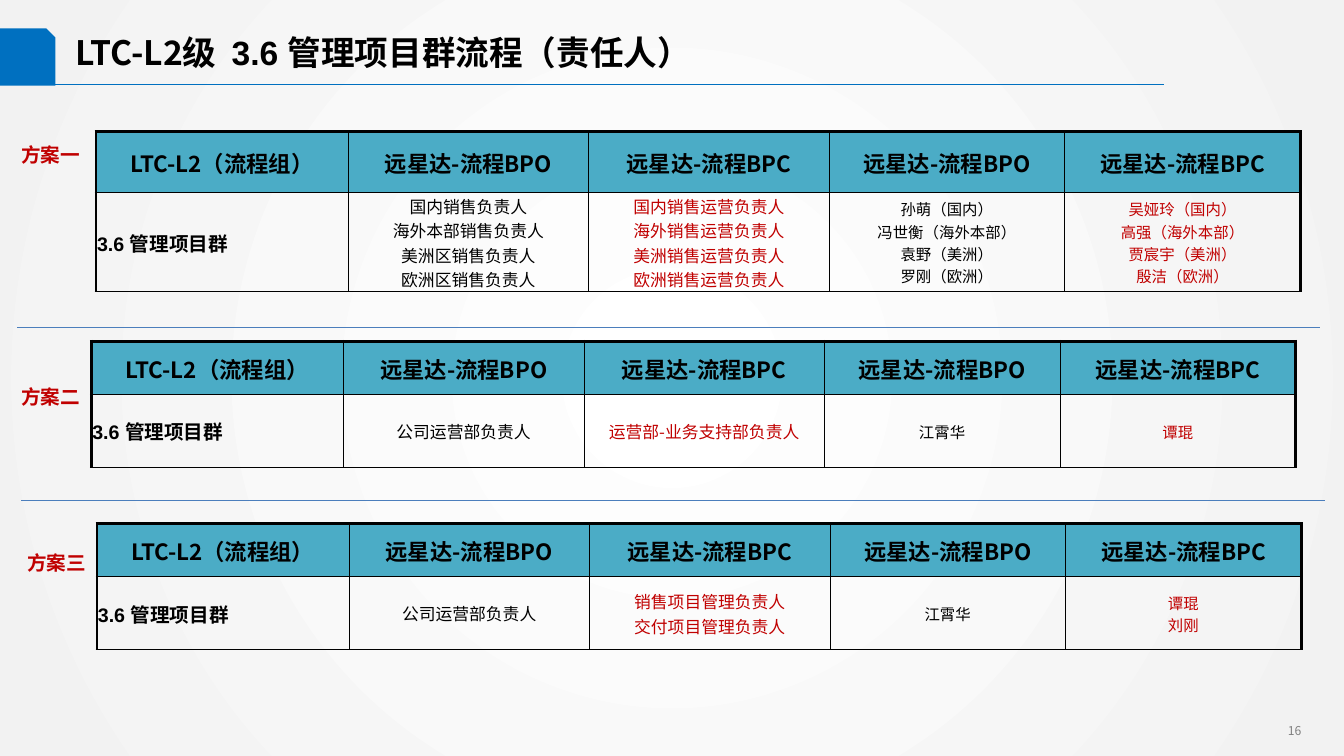
import pptx
import pptx.util
import pptx.dml.color
import pptx.enum.shapes
import pptx.enum.text
import pptx.oxml
import pptx.oxml.ns

Pt = pptx.util.Pt
qn = pptx.oxml.ns.qn
ALIGN = pptx.enum.text.PP_ALIGN
MID = pptx.enum.text.MSO_ANCHOR.MIDDLE
TOP = pptx.enum.text.MSO_ANCHOR.TOP
DRAW = "http://schemas.openxmlformats.org/drawingml/2006/main"

HEX = {"ink": "000000", "red": "C00000", "blue": "0070C0", "rule": "4B7EBC",
       "teal": "4BACC6", "gray": "808080", "white": "FFFFFF", "pale": "F2F2F2"}
NOTO, ARIAL = "Noto Sans CJK SC", "Arial"

TITLE = [("LTC-L2级  ", NOTO), ("3.6 管理项目群流程", ARIAL), ("（责任人）", NOTO)]
HEADS = ["LTC-L2（流程组）", "远星达-流程BPO", "远星达-流程BPC",
         "远星达-流程BPO", "远星达-流程BPC"]
GROUP = ["3.6 管理项目群"]
PLANS = [
    {"name": "方案一", "label": (8, 98.6), "at": (68.6, 94), "rows": (43.6, 70.6),
     "body": [GROUP,
              ["国内销售负责人", "海外本部销售负责人", "美洲区销售负责人", "欧洲区销售负责人"],
              ["国内销售运营负责人", "海外销售运营负责人", "美洲销售运营负责人", "欧洲销售运营负责人"],
              ["孙萌（国内）", "冯世衡（海外本部）", "袁野（美洲）", "罗刚（欧洲）"],
              ["吴娅玲（国内）", "高强（海外本部）", "贾宸宇（美洲）", "殷洁（欧洲）"]]},
    {"name": "方案二", "label": (8, 271.4), "at": (65.2, 243.8), "rows": (38, 52),
     "body": [GROUP, ["公司运营部负责人"], ["运营部-业务支持部负责人"], ["江霄华"], ["谭琨"]]},
    {"name": "方案三", "label": (12.4, 390.2), "at": (69.2, 374), "rows": (38, 52),
     "body": [GROUP, ["公司运营部负责人"], ["销售项目管理负责人", "交付项目管理负责人"],
              ["江霄华"], ["谭琨", "刘刚"]]},
]
COLS = [180, 172, 171.6, 168.4, 168.4]
LOOKS = [(14, ARIAL, "ink", True, ALIGN.LEFT), (12, NOTO, "ink", False, ALIGN.CENTER),
         (12, NOTO, "red", False, ALIGN.CENTER), (11, NOTO, "ink", False, ALIGN.CENTER),
         (11, NOTO, "red", False, ALIGN.CENTER)]
HEAD = (16, NOTO, "ink", True, ALIGN.CENTER)
RULES = [(38.2, 831.6, 60.5, "blue"), (15.1, 946.1, 357.3, "rule"), (12.2, 943.2, 234, "rule")]
THIN, THICK = 0.5, 2.25


def rgb(key):
    return pptx.dml.color.RGBColor.from_string(HEX[key])


def add_run(para, text, size, face, color, bold):
    run = para.add_run()
    run.text = text
    font = run.font
    font.size, font.name, font.bold = Pt(size), face, bold
    font.color.rgb = rgb(color)
    east = pptx.oxml.parse_xml(f'<a:ea xmlns:a="{DRAW}" typeface="{NOTO}"/>')
    run._r.rPr.find(qn("a:latin")).addnext(east)


def add_box(slide, left, top, width, height, anchor, inset=None, wrap=True):
    frame = slide.shapes.add_textbox(Pt(left), Pt(top), Pt(width), Pt(height)).text_frame
    frame.word_wrap = wrap
    frame.vertical_anchor = anchor
    if inset is not None:
        frame.margin_left = frame.margin_right = Pt(inset)
        frame.margin_top = frame.margin_bottom = Pt(inset)
    return frame


def add_rule(slide, start, end, y, color):
    kind = pptx.enum.shapes.MSO_CONNECTOR.STRAIGHT
    line = slide.shapes.add_connector(kind, Pt(start), Pt(y), Pt(end), Pt(y))
    line.line.color.rgb = rgb(color)
    line.line.width = Pt(0.75)
    line._element.spPr.append(pptx.oxml.parse_xml(f'<a:effectLst xmlns:a="{DRAW}"/>'))


def set_edges(cell, row, col):
    edges = {"L": col == 0, "R": col == len(COLS) - 1, "T": row == 0, "B": False}
    props = cell._tc.get_or_add_tcPr()
    for side, bold in edges.items():
        width = Pt(THICK if bold else THIN)
        props.append(pptx.oxml.parse_xml(
            f'<a:ln{side} xmlns:a="{DRAW}" w="{width}"><a:solidFill>'
            f'<a:srgbClr val="{HEX["ink"]}"/></a:solidFill></a:ln{side}>'))


def fill_cell(cell, row, col, lines, look):
    size, face, color, bold, align = look
    cell.margin_left = cell.margin_right = cell.margin_top = Pt(0.72)
    cell.margin_bottom = Pt(0)
    cell.vertical_anchor = MID
    set_edges(cell, row, col)
    if row == 0:
        cell.fill.solid()
        cell.fill.fore_color.rgb = rgb("teal")
    else:
        cell.fill.background()
    frame = cell.text_frame
    for i, text in enumerate(lines):
        para = frame.add_paragraph() if i else frame.paragraphs[0]
        para.alignment = align
        add_run(para, text, size, face, color, bold)


def add_plan(slide, plan):
    left, top = plan["at"]
    high = plan["rows"]
    table = slide.shapes.add_table(2, len(COLS), Pt(left), Pt(top),
                                   Pt(sum(COLS)), Pt(sum(high))).table
    table.first_row = table.horz_banding = False
    for row, size in enumerate(high):
        table.rows[row].height = Pt(size)
    for col, width in enumerate(COLS):
        table.columns[col].width = Pt(width)
        fill_cell(table.cell(0, col), 0, col, [HEADS[col]], HEAD)
        fill_cell(table.cell(1, col), 1, col, plan["body"][col], LOOKS[col])
    frame = add_box(slide, *plan["label"], 56.9, 24.5, TOP, wrap=False)
    add_run(frame.paragraphs[0], plan["name"], 14, ARIAL, "red", True)


def set_back(slide):
    fill = slide.background.fill
    fill.gradient()
    for stop, key, place in zip(fill.gradient_stops, ("white", "pale"), (0, 1)):
        stop.color.rgb = rgb(key)
        stop.position = place
    grad = slide.element.find(".//" + qn("a:gradFill"))
    grad.remove(grad.find(qn("a:lin")))
    grad.find(qn("a:gsLst")).addnext(pptx.oxml.parse_xml(
        f'<a:path xmlns:a="{DRAW}" path="circle">'
        '<a:fillToRect l="50000" t="50000" r="50000" b="50000"/></a:path>'))


def main():
    deck = pptx.Presentation()
    deck.slide_width, deck.slide_height = Pt(960), Pt(540)
    slide = deck.slides.add_slide(deck.slide_layouts[6])
    set_back(slide)

    page = add_box(slide, 863.3, 513.4, 73.4, 25.9, TOP).paragraphs[0]
    page.alignment = ALIGN.RIGHT
    add_run(page, "16", 8.7, NOTO, "gray", False)

    kind = pptx.enum.shapes.MSO_SHAPE.SNIP_1_RECTANGLE
    tab = slide.shapes.add_shape(kind, Pt(0), Pt(20.2), Pt(39.6), Pt(41))
    tab.shadow.inherit = False
    tab.fill.solid()
    tab.fill.fore_color.rgb = rgb("blue")
    tab.line.fill.background()

    for rule in RULES:
        add_rule(slide, *rule)

    title = add_box(slide, 54, 16.6, 787.7, 41.8, MID, inset=0).paragraphs[0]
    for text, face in TITLE:
        add_run(title, text, 24, face, "ink", True)

    for plan in PLANS:
        add_plan(slide, plan)
    deck.save("out.pptx")


if __name__ == "__main__":
    main()
